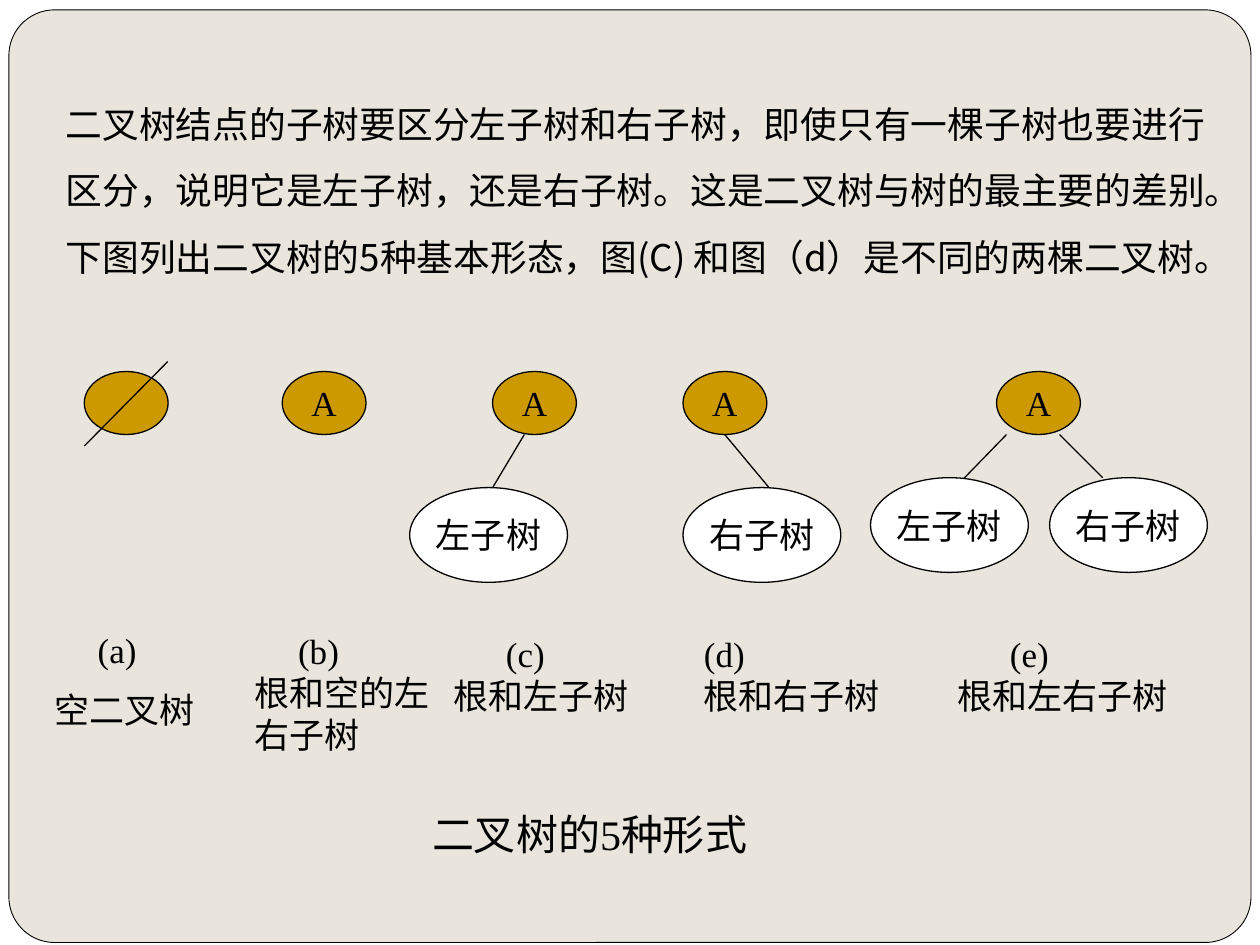
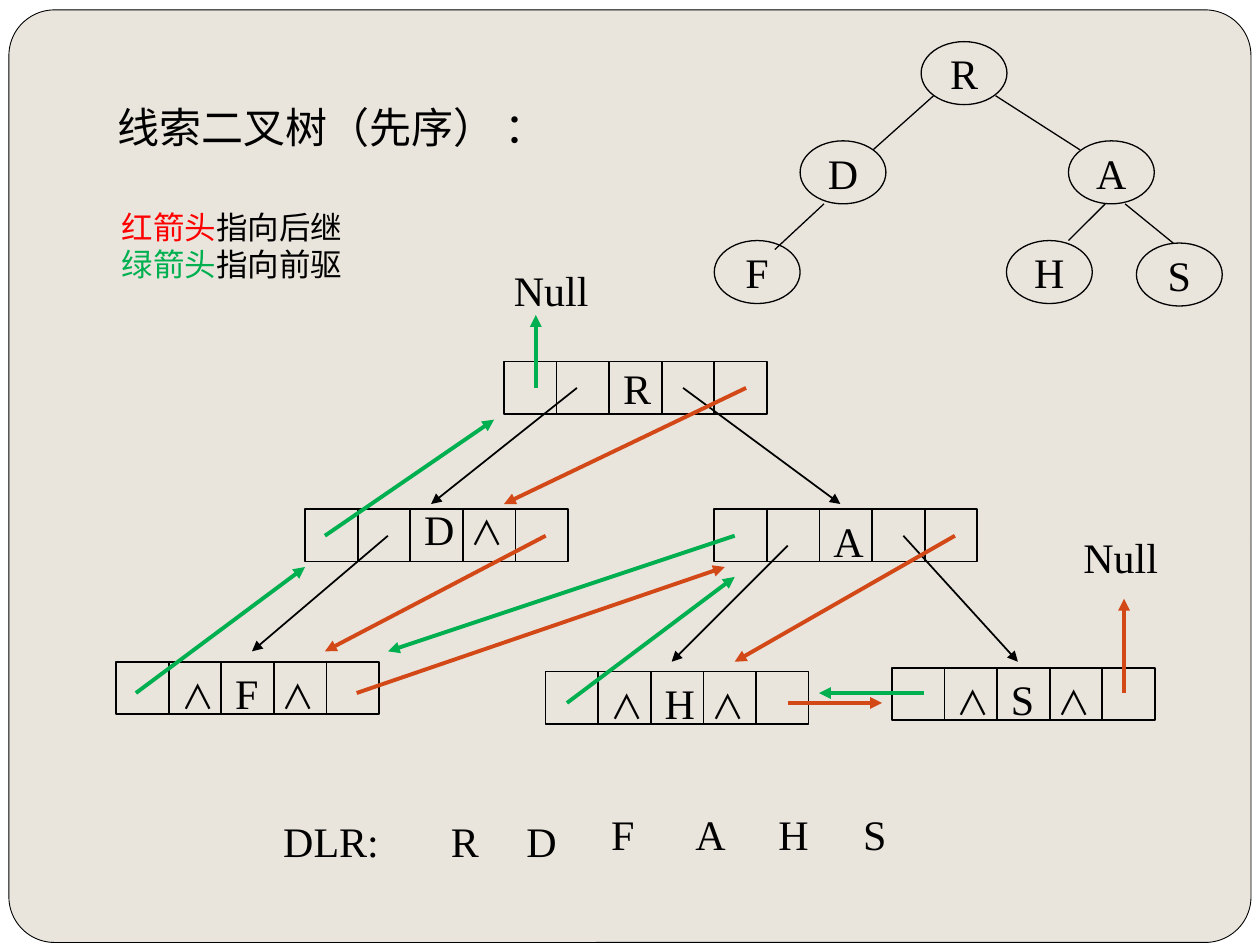
from lxml import etree
from pptx import Presentation
from pptx.dml.color import RGBColor
from pptx.enum.shapes import MSO_CONNECTOR, MSO_SHAPE
from pptx.enum.text import MSO_ANCHOR, MSO_AUTO_SIZE, PP_ALIGN
from pptx.oxml.ns import qn
from pptx.util import Cm, Pt

OVAL, RECT, ROUND = MSO_SHAPE.OVAL, MSO_SHAPE.RECTANGLE, MSO_SHAPE.ROUNDED_RECTANGLE
LINE = MSO_CONNECTOR.STRAIGHT
TOP, MIDDLE, BOTTOM = MSO_ANCHOR.TOP, MSO_ANCHOR.MIDDLE, MSO_ANCHOR.BOTTOM
LEFT, CENTER = PP_ALIGN.LEFT, PP_ALIGN.CENTER
FIXED = MSO_AUTO_SIZE.NONE

COLORS = {"ink": "000000", "white": "FFFFFF", "sand": "E9E5DC", "gold": "CC9900",
          "next": "D34817", "prior": "00B050", "red": "FF0000"}
SERIF, SANS = "Times New Roman", "Noto Sans CJK SC"
WEDGE = "∧"
CELL = 1.06


def color(name):
    return RGBColor.from_string(COLORS[name])


class Deck:
    def __init__(self):
        self.prs = Presentation()
        self.prs.slide_width, self.prs.slide_height = Cm(25.4), Cm(19.05)
        self.slide = None

    def start(self):
        self.slide = self.prs.slides.add_slide(self.prs.slide_layouts[5])

    def master(self):
        base = self.prs.slide_master
        base.background.fill.solid()
        base.background.fill.fore_color.rgb = color("white")
        panel = self.shape(ROUND, 0.18, 0.2, 25.04, 18.8, "sand", 0.5)
        panel.adjustments[0] = 0.049
        base.shapes._spTree.insert(2, panel._element)

    def style(self, para, size, font=SERIF, align=LEFT):
        para.alignment = align
        para.font.size, para.font.name = Pt(size), font
        para.font.bold = False
        para.font.color.rgb = color("ink")

    def title(self, x, y, w, h, text, size, font=SERIF, anchor=TOP, space=1):
        box = self.slide.shapes.title
        box.left, box.top, box.width, box.height = Cm(x), Cm(y), Cm(w), Cm(h)
        frame = box.text_frame
        frame.text = text
        frame.auto_size, frame.word_wrap = FIXED, True
        frame.vertical_anchor = anchor
        para = frame.paragraphs[0]
        para.line_spacing = space
        self.style(para, size, font)

    def text(self, x, y, w, h, lines, size=24):
        box = self.slide.shapes.add_textbox(Cm(x), Cm(y), Cm(w), Cm(h))
        frame = box.text_frame
        frame.word_wrap = True
        frame.text = "\n".join(lines)
        for para in frame.paragraphs:
            self.style(para, size)
        return frame.paragraphs

    def shape(self, kind, x, y, w, h, fill=None, weight=0.75, text="", size=20):
        item = self.slide.shapes.add_shape(kind, Cm(x), Cm(y), Cm(w), Cm(h))
        item.shadow.inherit = False
        if fill:
            item.fill.solid()
            item.fill.fore_color.rgb = color(fill)
        else:
            item.fill.background()
        item.line.color.rgb = color("ink")
        item.line.width = Pt(weight)
        if text:
            frame = item.text_frame
            frame.word_wrap = False
            frame.vertical_anchor = MIDDLE
            frame.text = text
            self.style(frame.paragraphs[0], size, align=CENTER)
        return item

    def line(self, x1, y1, x2, y2, hue="ink", weight=0.75, arrow=False):
        item = self.slide.shapes.add_connector(LINE, Cm(x1), Cm(y1), Cm(x2), Cm(y2))
        item.line.color.rgb = color(hue)
        item.line.width = Pt(weight)
        props = item._element.spPr
        if arrow:
            etree.SubElement(props.find(qn("a:ln")), qn("a:tailEnd"), type="triangle")
        etree.SubElement(props, qn("a:effectLst"))

    def label(self, x, y, w, mark, name, indent, gap):
        first, second = self.text(x, y, w, 1.96, [mark, name], 20)
        first._p.get_or_add_pPr().set("marL", str(Cm(indent)))
        second.space_before = Pt(gap)

    def node(self, x, y, cells, shift):
        self.shape(RECT, x, y, 5 * CELL, CELL, weight=1)
        for col in range(1, 5):
            self.line(x + col * CELL, y, x + col * CELL, y + CELL, weight=1)
        para = self.text(x + CELL, y + shift, 3.3, 1.27, [""])[0]
        props = para._p.get_or_add_pPr()
        for old in props.findall(qn("a:defRPr")):
            props.remove(old)
        tabs = etree.SubElement(props, qn("a:tabLst"))
        for stop in (1.09, 2.03):
            etree.SubElement(tabs, qn("a:tab"), pos=str(Cm(stop)), algn="l")
        self.style(para, 24)
        for pos, cell in enumerate(cells):
            if pos:
                para.add_run().text = "\t"
            if cell:
                run = para.add_run()
                run.text = cell
                if cell == WEDGE:
                    run.font.size, run.font.name = Pt(19), SANS


def forms(deck):
    deck.title(1.07, 1.12, 23.5, 4.62,
               "二叉树结点的子树要区分左子树和右子树，即使只有一棵子树也要进行区分，"
               "说明它是左子树，还是右子树。这是二叉树与树的最主要的差别。"
               "下图列出二叉树的5种基本形态，图(C) 和图（d）是不同的两棵二叉树。",
               21, SANS, BOTTOM, 1.5)
    for x, name in ((1.7, ""), (5.69, "A"), (9.93, "A"), (13.77, "A"), (20.09, "A")):
        deck.shape(OVAL, x, 7.49, 1.69, 1.27, "gold", text=name)
    deck.line(3.38, 7.29, 1.7, 8.99)
    for x1, x2, y2 in ((10.57, 9.93, 9.83), (14.61, 15.67, 10.03),
                       (20.29, 19.25, 9.83), (21.36, 22.23, 9.63)):
        deck.line(x1, 8.76, x2, y2)
    for x, y, name in ((8.26, 9.83, "左子树"), (13.77, 9.83, "右子树"),
                       (17.55, 9.63, "左子树"), (21.16, 9.63, "右子树")):
        deck.shape(OVAL, x, y, 3.18, 1.91, "white", text=name)
    for item in ((0.84, 12.55, 4.24, "(a)", "空二叉树", 0.88, 10),
                 (4.88, 12.57, 4.65, "(b)", "根和空的左右子树", 0.88, 0),
                 (8.89, 12.62, 4.1, "(c)", "根和左子树", 1.06, 0),
                 (13.94, 12.62, 4.1, "(d)", "根和右子树", 0, 0),
                 (19.05, 12.62, 5, "(e)", "根和左右子树", 1.06, 0)):
        deck.label(*item)
    deck.text(8.46, 16.18, 11.43, 1.27, ["二叉树的5种形式"])


def threads(deck):
    deck.title(2.11, 1.91, 9.5, 1.27, "线索二叉树（先序） ：", 24)
    for x, y, name in ((18.57, 0.84, "R"), (16.13, 2.84, "D"), (21.54, 2.84, "A"),
                       (14.4, 4.85, "F"), (20.29, 4.85, "H"), (22.91, 4.9, "S")):
        deck.shape(OVAL, x, y, 1.73, 1.27, text=name, size=24)
    for ends in ((18.82, 1.93, 17.6, 3.02), (20.07, 1.93, 21.77, 3.02),
                 (16.61, 4.11, 15.62, 5.03), (22.28, 4.11, 21.54, 4.85),
                 (22.68, 4.11, 23.65, 4.9)):
        deck.line(*ends)

    for x, y, cells, shift in ((10.16, 7.29, ("", "R"), -0.1),
                               (6.15, 10.26, ("", "D", WEDGE), -0.23),
                               (14.4, 10.26, ("", "A"), 0),
                               (2.34, 13.34, (WEDGE, "F", WEDGE), 0),
                               (11, 13.54, (WEDGE, "H", WEDGE), 0),
                               (17.98, 13.46, (WEDGE, "S", WEDGE), 0)):
        deck.node(x, y, cells, shift)

    links = {
        "ink": ((11.63, 7.82, 8.69, 10.16), (13.77, 7.82, 16.94, 10.16),
                (7.82, 10.8, 5.08, 13.13), (18.21, 10.8, 20.52, 13.34),
                (15.88, 11, 13.54, 13.34)),
        "next": ((15.04, 7.82, 10.16, 10.16), (11, 10.8, 6.55, 13.13),
                 (7.19, 13.97, 14.61, 11.43), (19.25, 10.8, 14.81, 13.34),
                 (15.88, 14.17, 17.78, 14.17), (22.66, 13.97, 22.66, 12.07)),
        "prior": ((6.55, 10.8, 9.96, 8.46), (2.74, 13.97, 6.15, 11.43),
                  (14.81, 10.8, 7.82, 13.13), (11.43, 14.17, 14.81, 11.63),
                  (18.62, 13.97, 16.51, 13.97), (10.8, 7.82, 10.8, 6.35)),
    }
    for hue, group in links.items():
        for ends in group:
            deck.line(*ends, hue, 1 if hue == "ink" else 2.25, True)

    for x, y in ((10.11, 5.21), (21.59, 10.59)):
        deck.text(x, y, 2.2, 1.27, ["Null"])
    deck.text(5.46, 16.31, 2.7, 1.27, ["DLR:"])
    for x, y, name in ((8.84, 16.31, "R"), (10.36, 16.31, "D"), (12.07, 16.18, "F"),
                       (13.77, 16.18, "A"), (15.44, 16.18, "H"), (17.15, 16.18, "S")):
        deck.text(x, y, 1.2, 1.27, [name])

    paras = deck.text(2.21, 4.06, 5.1, 1.8, ["红箭头", "绿箭头"], 18)
    for para, hue, rest in zip(paras, ("red", "prior"), ("指向后继", "指向前驱")):
        para.runs[0].font.color.rgb = color(hue)
        para.add_run().text = rest


def main():
    deck = Deck()
    deck.start()
    deck.master()
    forms(deck)
    deck.start()
    threads(deck)
    deck.prs.save("out.pptx")


if __name__ == "__main__":
    main()
